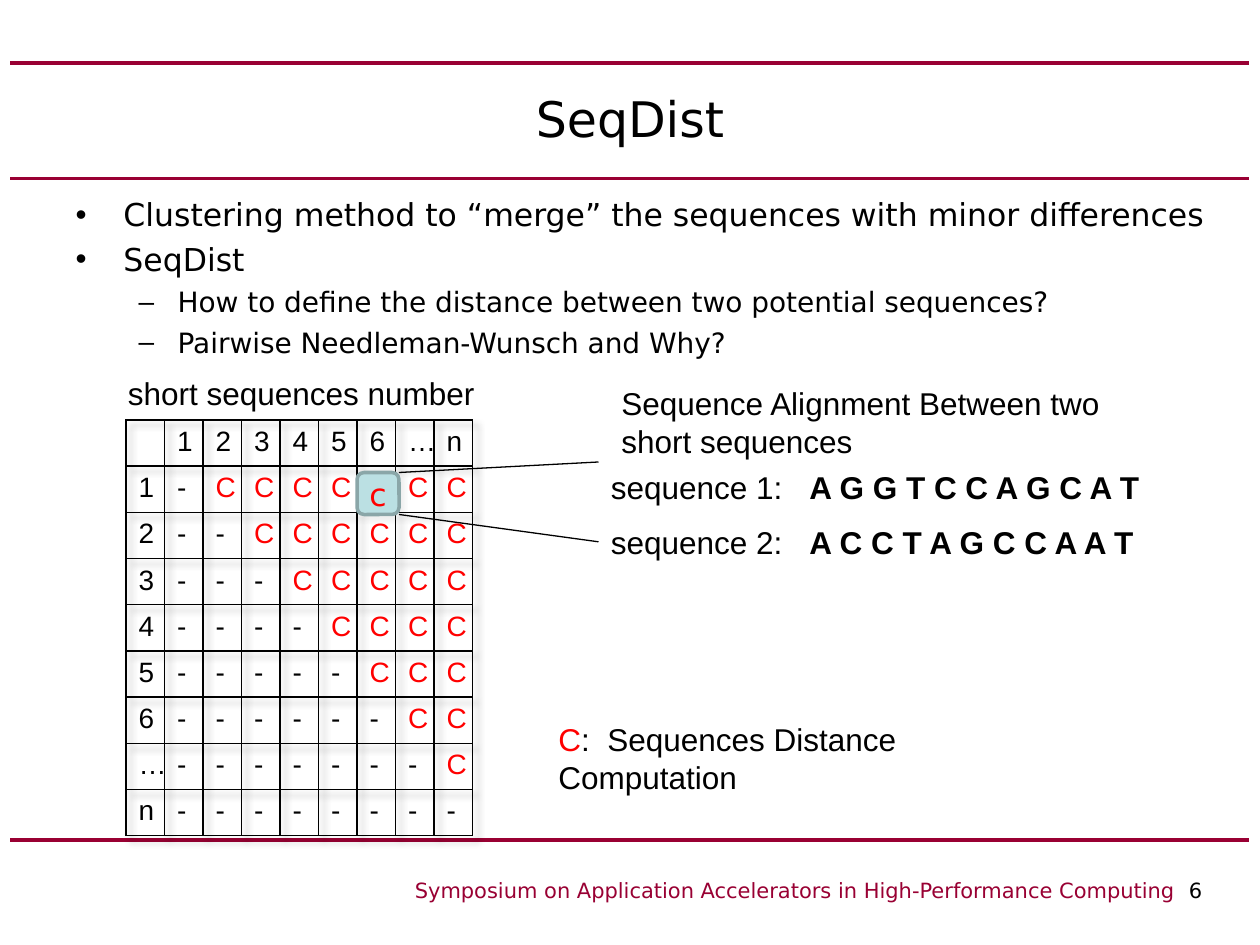
import dataclasses

import lxml.etree
import pptx
import pptx.dml.color
import pptx.enum.shapes
import pptx.enum.text
import pptx.oxml
import pptx.oxml.ns
import pptx.util

ANCHOR = pptx.enum.text.MSO_ANCHOR
ALIGN = pptx.enum.text.PP_ALIGN
DRAWING = pptx.oxml.ns.nsdecls("a")


def color(code):
    return pptx.dml.color.RGBColor.from_string(code)


def apply(target, values):
    for name, value in values.items():
        setattr(target, name, value)


@dataclasses.dataclass(frozen=True)
class Theme:
    ink: str = "000000"
    rule: str = "990033"
    mark: str = "FF0000"
    focus: str = "BBE0E3"
    focus_edge: str = "8AA6A8"
    heading: str = "DejaVu Sans"
    plain: str = "Arial"
    title: int = 28
    text: int = 18
    detail: int = 16
    footer: int = 12


class SlideBuilder:
    """Draws styled elements on a grid of 120 columns by 90 rows."""

    def __init__(self, deck, theme):
        self.theme = theme
        self.column = deck.slide_width / 120
        self.row = deck.slide_height / 90
        self.page = deck.slides.add_slide(deck.slide_layouts[1])

    def place(self, left, top, width, height):
        return (round(left * self.column), round(top * self.row),
                round(width * self.column), round(height * self.row))

    def add_span(self, para, text, size, face, ink=None, bold=False):
        span = para.add_run()
        span.text = text
        apply(span.font, {"size": pptx.util.Pt(size), "name": face, "bold": bold})
        span.font.color.rgb = color(ink or self.theme.ink)

    def move(self, holder, area, anchor):
        apply(holder, dict(zip(("left", "top", "width", "height"), self.place(*area))))
        apply(holder.text_frame, {"word_wrap": True, "vertical_anchor": anchor,
                                  "auto_size": pptx.enum.text.MSO_AUTO_SIZE.NONE})
        return holder.text_frame

    def title(self, area, text):
        para = self.move(self.page.shapes.title, area, ANCHOR.MIDDLE).paragraphs[0]
        para.alignment = ALIGN.CENTER
        self.add_span(para, text, self.theme.title, self.theme.heading)

    def bullets(self, area, items):
        frame = self.move(self.page.placeholders[1], area, ANCHOR.TOP)
        sizes = (self.theme.text, self.theme.detail)
        indents = ((0.38, -0.38), (0.81, -0.31))
        for index, (level, text) in enumerate(items):
            para = frame.add_paragraph() if index else frame.paragraphs[0]
            apply(para, {"level": level, "space_before": pptx.util.Pt(4 if index else 0)})
            for name, length in zip(("marL", "indent"), indents[level]):
                para._p.get_or_add_pPr().set(name, str(pptx.util.Inches(length)))
            self.add_span(para, text, sizes[level], self.theme.heading)

    def label(self, area, spans, size=None, face=None, align=ALIGN.LEFT, tab=None):
        box = self.page.shapes.add_textbox(*self.place(*area))
        box.text_frame.word_wrap = True
        para = box.text_frame.paragraphs[0]
        para.alignment = align
        if tab:
            stop = round(tab * self.column)
            para._p.get_or_add_pPr().append(pptx.oxml.parse_xml(
                f'<a:tabLst {DRAWING}><a:tab pos="{stop}" algn="l"/></a:tabLst>'))
        for text, ink, bold in spans:
            self.add_span(para, text, size or self.theme.text, face or self.theme.plain, ink, bold)

    def line(self, start, end, ink, width):
        ends = self.place(*start, *end)
        straight = pptx.enum.shapes.MSO_CONNECTOR.STRAIGHT
        connector = self.page.shapes.add_connector(straight, *ends)
        connector.line.color.rgb = color(ink)
        connector.line.width = pptx.util.Pt(width)
        lxml.etree.SubElement(connector._element.spPr, pptx.oxml.ns.qn("a:effectLst"))

    def focus(self, area, text):
        kind = pptx.enum.shapes.MSO_SHAPE.ROUNDED_RECTANGLE
        box = self.page.shapes.add_shape(kind, *self.place(*area))
        box.shadow.inherit = False
        box.fill.solid()
        box.fill.fore_color.rgb = color(self.theme.focus)
        box.line.color.rgb = color(self.theme.focus_edge)
        box.line.width = pptx.util.Pt(2)
        apply(box.text_frame, {"word_wrap": False, "vertical_anchor": ANCHOR.MIDDLE})
        para = box.text_frame.paragraphs[0]
        para.alignment = ALIGN.CENTER
        self.add_span(para, text, self.theme.text, self.theme.heading, self.theme.mark)

    def border(self, cell):
        properties = cell._tc.get_or_add_tcPr()
        for index, side in enumerate("LRTB"):
            properties.insert(index, pptx.oxml.parse_xml(
                f'<a:ln{side} {DRAWING} w="12700"><a:solidFill>'
                f'<a:srgbClr val="{self.theme.ink}"/></a:solidFill></a:ln{side}>'))

    def matrix(self, area, values):
        frame = self.page.shapes.add_table(len(values), len(values[0]), *self.place(*area))
        table = frame.table
        apply(table, {"first_row": False, "horz_banding": False})
        table._tbl.tblPr.insert(0, pptx.oxml.parse_xml(
            f'<a:effectLst {DRAWING}><a:outerShdw blurRad="50800" dist="50800" dir="2700000">'
            '<a:srgbClr val="000000"><a:alpha val="30000"/></a:srgbClr>'
            '</a:outerShdw></a:effectLst>'))
        for row, texts in enumerate(values):
            for column, text in enumerate(texts):
                cell = table.cell(row, column)
                cell.margin_bottom = 0
                cell.fill.background()
                self.border(cell)
                if text:
                    ink = self.theme.mark if text == "C" else self.theme.ink
                    self.add_span(cell.text_frame.paragraphs[0], text,
                                  self.theme.detail, self.theme.plain, ink)


def main():
    deck = pptx.Presentation()
    deck.slide_width = pptx.util.Inches(10)
    deck.slide_height = pptx.util.Inches(7.5)
    theme = Theme()
    slide = SlideBuilder(deck, theme)

    for row in (80, 17, 6):
        slide.line((1, row), (119, row), theme.rule, 2.25)
    slide.title((6, 6, 108, 10.4), "SeqDist")
    slide.label((34, 83, 86, 4),
                [("Symposium on Application Accelerators in High-Performance Computing  ",
                  theme.rule, False), ("6", theme.ink, False)],
                theme.footer, theme.heading, ALIGN.CENTER)
    slide.bullets((6, 18, 114, 14), [
        (0, "Clustering method to “merge” the sequences with minor differences"),
        (0, "SeqDist"),
        (1, "How to define the distance between two potential sequences?"),
        (1, "Pairwise Needleman-Wunsch and Why?"),
    ])

    names = ["1", "2", "3", "4", "5", "6", "…", "n"]
    values = [[""] + names]
    for row, name in enumerate(names):
        values.append([name] + ["C" if column > row else "-" for column in range(len(names))])
    slide.matrix((12, 40, 33, 39.6), values)
    slide.focus((34, 45, 4, 4), "c")

    sequences = [(44, "A G G T C C A G C A T"), (49.2, "A C C T A G C C A A T")]
    for number, (row, letters) in enumerate(sequences, 1):
        slide.label((57, row, 60, 4.8), [(f"sequence {number}:\t", theme.ink, False),
                                         (letters, theme.ink, True)], tab=18.9)
    slide.label((58, 36, 51, 8.5),
                [("Sequence Alignment Between two short sequences", theme.ink, False)])
    for start, end in (((38, 45), (57, 44)), ((38, 49), (57, 51.6))):
        slide.line(start, end, theme.ink, 0.75)
    slide.label((11, 35, 41.3, 4.8), [("short sequences number", theme.ink, False)])
    slide.label((52, 68, 38, 8.5), [("C", theme.mark, False),
                                    (":  Sequences Distance Computation", theme.ink, False)])
    deck.save("out.pptx")


if __name__ == "__main__":
    main()
